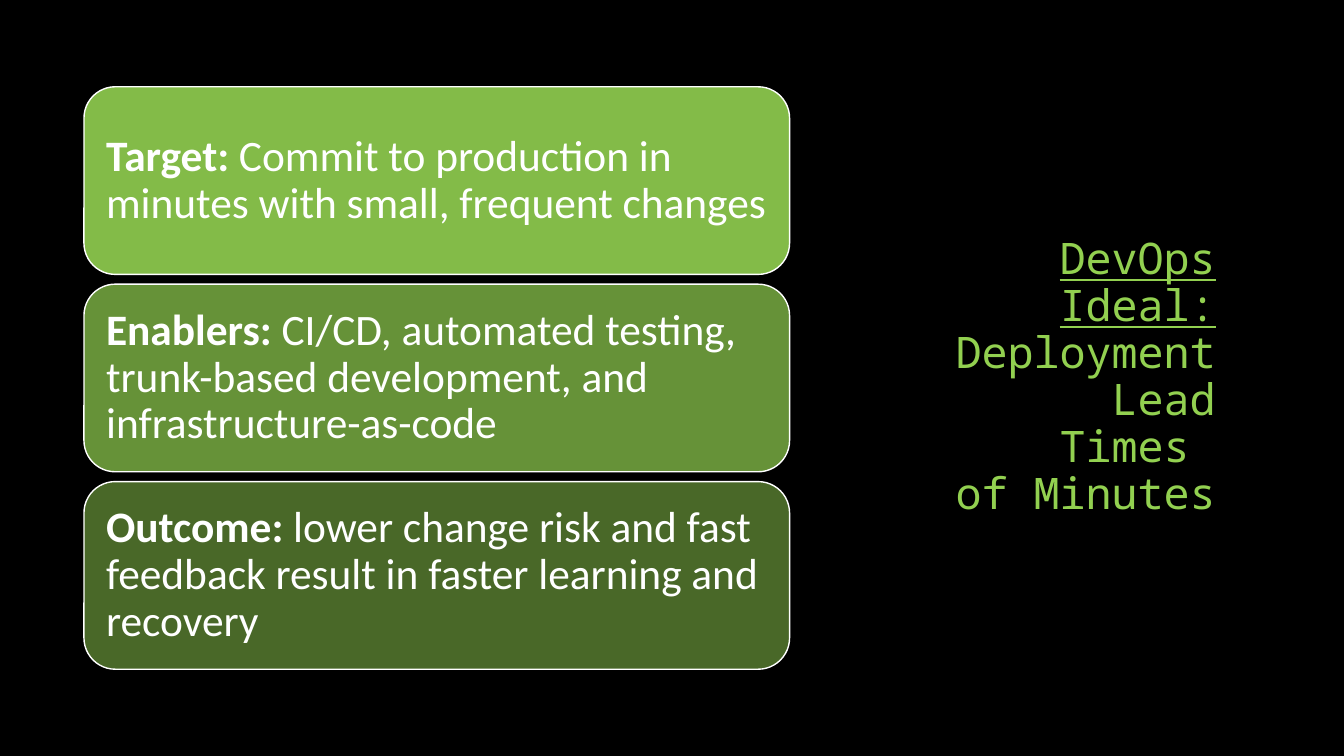
from copy import deepcopy
from dataclasses import dataclass

from lxml import etree
from pptx import Presentation
from pptx.dml.color import RGBColor
from pptx.enum import shapes, text
from pptx.oxml import ns
from pptx.util import Pt


@dataclass(frozen=True)
class Theme:
    background: RGBColor = RGBColor(0x00, 0x00, 0x00)
    accent: RGBColor = RGBColor(0x92, 0xD0, 0x50)
    light: RGBColor = RGBColor(0xFF, 0xFF, 0xFF)
    title_font: str = "Noto Sans Mono"
    body_font: str = "Calibri"
    size: Pt = Pt(31)


THEME = Theme()

CARDS = [
    ("Target: ", "Commit to production in minutes with small, frequent changes", 90),
    ("Enablers: ", "CI/CD, automated testing, trunk-based development, "
                   "and infrastructure-as-code", 70),
    ("Outcome: ", "lower change risk and fast feedback result in faster "
                  "learning and recovery", 50),
]
CARD_LEFT, CARD_TOP, CARD_WIDTH, CARD_HEIGHT, CARD_PITCH = 60, 62, 504, 134, 141

TITLE_LINES = [("DevOps Ideal:", True), ("Deployment Lead", False),
               (" Times ", False), ("of Minutes", False)]


def apply_format(target, values):
    for name, value in values.items():
        setattr(target, name, value)


def add_run(paragraph, words, font, color, **extra):
    run = paragraph.add_run()
    run.text = words
    apply_format(run.font, {"name": font, "size": THEME.size, **extra})
    run.font.color.rgb = color
    return run


def set_opacity(shape, percent):
    color = shape.fill._xPr.find(".//" + ns.qn("a:srgbClr"))
    etree.SubElement(color, ns.qn("a:alpha"), val=str(percent * 1000))


def add_title(slide):
    title = slide.shapes.title
    apply_format(title, {"left": Pt(630), "top": Pt(60),
                         "width": Pt(245.5), "height": Pt(420)})
    apply_format(title.text_frame, {"vertical_anchor": text.MSO_ANCHOR.MIDDLE,
                                    "word_wrap": True,
                                    "auto_size": text.MSO_AUTO_SIZE.NONE})
    paragraph = title.text_frame.paragraphs[0]
    apply_format(paragraph, {"alignment": text.PP_ALIGN.RIGHT, "line_spacing": 0.9})
    for index, (words, underline) in enumerate(TITLE_LINES):
        run = add_run(paragraph, words, THEME.title_font, THEME.accent,
                      underline=underline)
        if index < len(TITLE_LINES) - 1:
            paragraph.add_line_break()
            paragraph._p[-1].append(deepcopy(run._r.rPr))


def add_card(slide, top, label, words, opacity):
    card = slide.shapes.add_shape(
        shapes.MSO_SHAPE.ROUNDED_RECTANGLE,
        Pt(CARD_LEFT), Pt(top), Pt(CARD_WIDTH), Pt(CARD_HEIGHT))
    card.shadow.inherit = False
    card.fill.solid()
    card.fill.fore_color.rgb = THEME.accent
    set_opacity(card, opacity)
    card.line.color.rgb = THEME.light
    card.line.width = Pt(1)
    inset = Pt(9.3)
    apply_format(card.text_frame, {"margin_left": inset, "margin_right": inset,
                                   "margin_top": inset, "margin_bottom": inset,
                                   "word_wrap": True,
                                   "vertical_anchor": text.MSO_ANCHOR.MIDDLE})
    paragraph = card.text_frame.paragraphs[0]
    apply_format(paragraph, {"alignment": text.PP_ALIGN.LEFT, "line_spacing": 0.9})
    add_run(paragraph, label, THEME.body_font, THEME.light, bold=True)
    add_run(paragraph, words, THEME.body_font, THEME.light, bold=False)


def main():
    presentation = Presentation()
    apply_format(presentation, {"slide_width": Pt(960), "slide_height": Pt(540)})
    slide = presentation.slides.add_slide(presentation.slide_layouts[5])
    slide.background.fill.solid()
    slide.background.fill.fore_color.rgb = THEME.background
    add_title(slide)
    for index, (label, words, opacity) in enumerate(CARDS):
        add_card(slide, CARD_TOP + index * CARD_PITCH, label, words, opacity)
    presentation.save("out.pptx")


if __name__ == "__main__":
    main()
